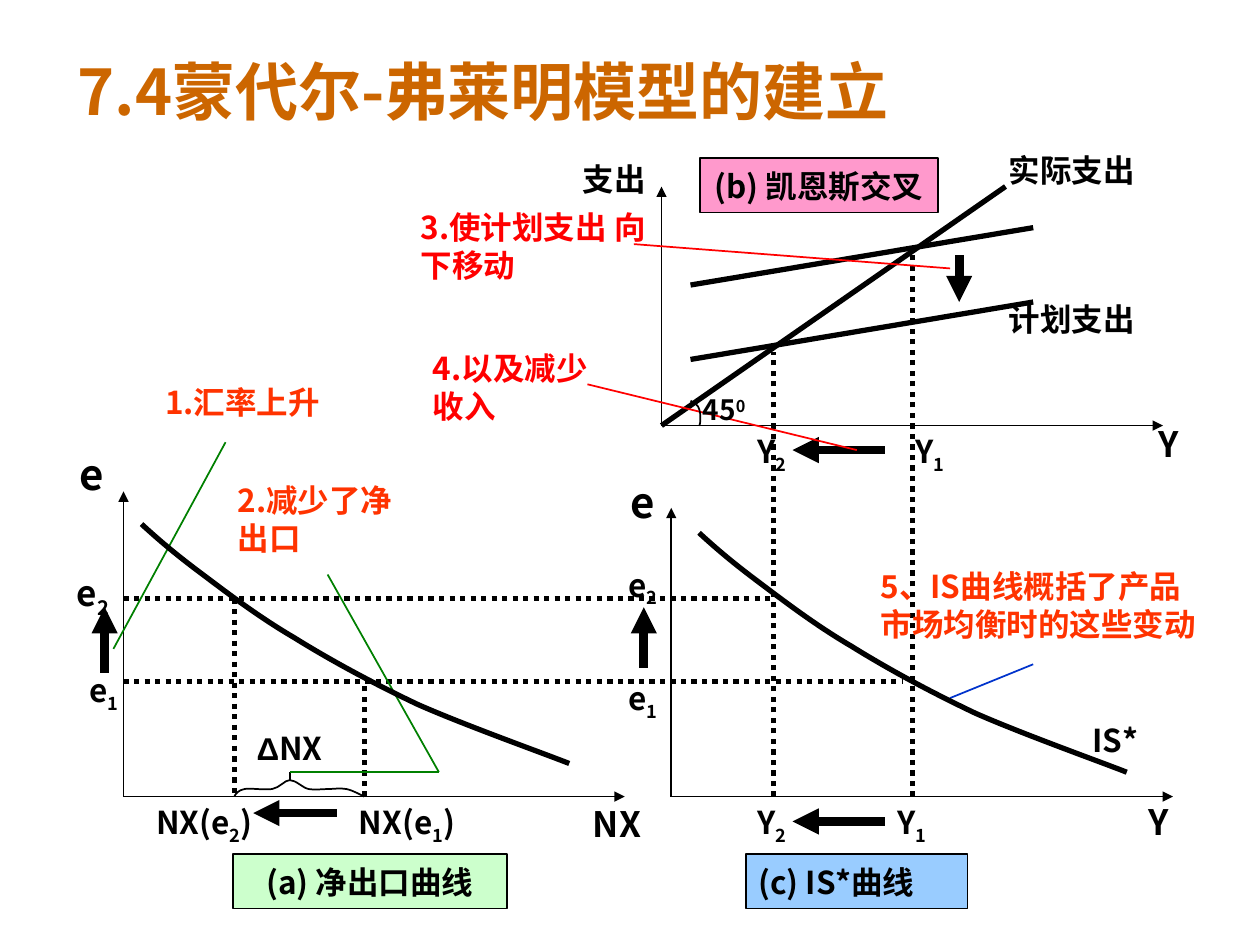
from dataclasses import dataclass
from typing import NamedTuple

from lxml.etree import SubElement
from pptx import Presentation
from pptx.dml.color import RGBColor as RGB
from pptx.enum.dml import MSO_LINE as Dash
from pptx.enum.shapes import MSO_CONNECTOR as Link, MSO_SHAPE as Preset
from pptx.enum.text import MSO_ANCHOR as Anchor, MSO_AUTO_SIZE as AutoSize, PP_ALIGN as Align
from pptx.oxml.ns import qn
from pptx.util import Pt


@dataclass(frozen=True)
class Theme:
    font: str = "Noto Sans CJK SC"
    greek: str = "Arial"
    ink: str = "000000"
    title: str = "CC6600"
    note: str = "FF3300"
    red: str = "FF0000"
    green: str = "008000"
    blue: str = "0033CC"
    net_exports: str = "CCFFCC"
    cross: str = "FF99CC"
    is_curve: str = "99CCFF"
    title_size: int = 36
    axis_size: int = 24
    large: int = 20
    normal: int = 18
    small: int = 16
    thin: int = 1
    bold: int = 3
    block: int = 5


T = Theme()


class Piece(NamedTuple):
    text: str
    baseline: int = 0
    font: str = T.font


class Label(NamedTuple):
    left: float
    top: float
    width: float
    height: float
    pieces: tuple
    size: int = T.normal
    color: str = T.ink


class Stroke(NamedTuple):
    x1: float
    y1: float
    x2: float
    y2: float
    weight: int = T.thin
    color: str = T.ink
    arrow: bool = False
    dotted: bool = False


class Curve(NamedTuple):
    x: float
    y: float
    controls: tuple  # Bezier control points, relative to the start, three a piece
    weight: int


class Caption(NamedTuple):
    left: float
    top: float
    width: float
    text: str
    fill: str
    align: Align


def sub(base: str, index: str, close: str = "") -> tuple:
    pieces = (Piece(base), Piece(index, -25000))
    return pieces + (Piece(close),) if close else pieces


def plain(text: str) -> tuple:
    return (Piece(text),)


def write(frame, pieces: tuple, size: int, color: str, align=Align.LEFT, **frame_format) -> None:
    for name, value in frame_format.items():
        setattr(frame, name, value)
    paragraph = frame.paragraphs[0]
    paragraph.alignment = align
    for piece in pieces:
        run = paragraph.add_run()
        run.text = piece.text
        for name, value in dict(size=Pt(size), bold=True, name=piece.font).items():
            setattr(run.font, name, value)
        run.font.color.rgb = RGB.from_string(color)
        properties = run._r.get_or_add_rPr()
        SubElement(properties, qn("a:ea")).set("typeface", T.font)
        if piece.baseline:
            properties.set("baseline", str(piece.baseline))


def ink_line(line, color: str, weight: int) -> None:
    line.color.rgb = RGB.from_string(color)
    line.width = Pt(weight)


def draw_stroke(shapes, s: Stroke) -> None:
    connector = shapes.add_connector(Link.STRAIGHT, *map(Pt, s[:4]))
    ink_line(connector.line, s.color, s.weight)
    if s.dotted:
        connector.line.dash_style = Dash.ROUND_DOT
    if s.arrow:
        SubElement(connector.line._get_or_add_ln(), qn("a:tailEnd")).set("type", "triangle")
    SubElement(connector._element.spPr, qn("a:effectLst"))


def draw_curve(shapes, c: Curve) -> None:
    builder = shapes.build_freeform(Pt(c.x), Pt(c.y))
    builder.add_line_segments([(Pt(c.x + dx), Pt(c.y + dy)) for dx, dy in c.controls], close=False)
    outline = builder.convert_to_shape()
    outline.shadow.inherit = False
    outline.fill.background()
    ink_line(outline.line, T.ink, c.weight)
    # Turn every three straight segments into one Bezier segment
    segments = list(outline._element.iter(qn("a:lnTo")))
    for i in range(0, len(segments), 3):
        bezier = SubElement(segments[i].getparent(), qn("a:cubicBezTo"))
        for segment in segments[i:i + 3]:
            bezier.append(segment[0])
            segment.getparent().remove(segment)


def draw_label(shapes, label: Label) -> None:
    box = shapes.add_textbox(*map(Pt, label[:4]))
    write(box.text_frame, label.pieces, label.size, label.color,
          word_wrap=True, auto_size=AutoSize.SHAPE_TO_FIT_TEXT)


def draw_caption(shapes, c: Caption) -> None:
    box = shapes.add_shape(Preset.RECTANGLE, *map(Pt, (c.left, c.top, c.width, 31)))
    box.shadow.inherit = False
    box.fill.solid()
    box.fill.fore_color.rgb = RGB.from_string(c.fill)
    ink_line(box.line, T.ink, T.thin)
    write(box.text_frame, plain(c.text), T.normal, T.ink, c.align,
          word_wrap=False, vertical_anchor=Anchor.MIDDLE)


# Shared levels of the three diagrams
BASE, A_X, C_X = 455.2, 70.6, 383.6
B_X, B_Y = 378, 243.2
E1, E2 = 389.5, 342
Y1, Y2, NX1, NX2 = 521.3, 442.1, 208.1, 133.9
BRACE_X, BRACE_Y, BEND_X = 165.8, 441.2, 250.8

AXES = [Stroke(*ends, arrow=True) for ends in (
    (A_X, BASE, A_X, 280.8), (A_X, BASE, 357, BASE),
    (C_X, BASE, C_X, 290.2), (C_X, BASE, 670.3, BASE),
    (B_X, B_Y, 664.6, B_Y), (B_X, B_Y, B_X, 106.6))]
GUIDES = [Stroke(*ends, T.bold, dotted=True) for ends in (
    (NX2, E2, NX2, BASE), (NX1, BASE, NX1, E1), (Y1, BASE, Y1, 144),
    (Y2, BASE, Y2, 200.9), (A_X, E2, Y2, E2), (A_X, E1, 516.2, E1))]
SPENDING = [Stroke(*ends, T.bold) for ends in (
    (B_X, B_Y, 574.6, 106.6), (394.6, 162.9, 590.4, 130.1), (394.6, 205.4, 590.4, 172.6))]
SHIFTS = [Stroke(*ends, T.block, arrow=True) for ends in (
    (367.9, 381.6, 367.9, 347), (59.8, 384.5, 59.8, 347), (192.4, 464.6, 144.7, 464.6),
    (505.6, 469.4, 452.9, 469.4), (505.6, 257.2, 452.9, 257.2), (548.1, 145.9, 548.1, 172.6))]
LEADERS = [
    Stroke(64.8, 370.8, 128.9, 252.7, color=T.green),
    Stroke(BEND_X, BRACE_Y, 187.2, 328.3, color=T.green),
    Stroke(BRACE_X, 445.7, BRACE_X, BRACE_Y),
    Stroke(BRACE_X, BRACE_Y, BEND_X, BRACE_Y, color=T.green),
    Stroke(362.2, 139.5, 542.9, 153.4, color=T.red),
    Stroke(335.7, 219.6, 489.6, 257.2, color=T.red),
    Stroke(542.9, 398.9, 590.4, 379.6, color=T.blue)]

FALLING = ((9.4, 8.6), (18.7, 16.6), (33.1, 27.4), (47.5, 38.2), (66.2, 52.6), (87.1, 64.8),
           (108, 77.8), (131.8, 90.7), (157.7, 103), (183.6, 114.5), (229.7, 131), (244.4, 136.8))
BRACE = ((0.7, -1.4), (2.2, -3.6), (5.8, -4.3), (8.6, -5), (16.6, -3.6), (21.6, -4.3),
         (25.9, -5), (28.8, -9.4), (31.7, -9.4), (35.3, -9.4), (38.9, -5), (42.5, -4.3),
         (46.1, -3.6), (49.7, -4.3), (53.3, -4.3), (56.9, -4.3), (60.5, -5), (64.1, -4.3),
         (67.7, -3.6), (72.7, -0.7), (74.2, 0))
ANGLE = ((2.2, 1.4), (4.3, 2.2), (5, 5), (5.8, 7.2), (5.8, 13), (5, 14.4))
CURVES = [Curve(80.9, 299.5, FALLING, T.bold), Curve(399.5, 304.5, FALLING, T.bold),
          Curve(NX2, BASE, BRACE, T.thin), Curve(394.6, 229, ANGLE, T.thin)]

LABELS = [
    # Axis names
    Label(331.7, BASE, 45.4, 31.7, plain("NX"), T.large),
    Label(649.4, 453.8, 28.8, 31.7, plain("Y"), T.large),
    Label(654.7, 237.8, 33.8, 31.7, plain("Y"), T.large),
    Label(38.2, 252.7, 32.4, 36, plain("e"), T.axis_size),
    Label(353.2, 268.6, 35.3, 36, plain("e"), T.axis_size),
    Label(326, 87.8, 89.3, 28.8, plain("支出")),
    # Values on the axes
    Label(516.2, B_Y, 47.5, 31.7, sub("Y", "1")),
    Label(425.7, B_Y, 47.5, 31.7, sub("Y", "2")),
    Label(505.6, BASE, 47.5, 31.7, sub("Y", "1")),
    Label(425.7, BASE, 47.5, 31.7, sub("Y", "2")),
    Label(198, BASE, 95.8, 31.7, sub("NX(e", "1", ")")),
    Label(82.1, BASE, 102.2, 31.7, sub("NX(e", "2", ")")),
    Label(351.9, 384.5, 42.5, 31.7, sub("e", "1")),
    Label(351.9, 319.7, 42.5, 31.7, sub("e", "2")),
    Label(43.9, 380, 42.5, 31.7, sub("e", "1")),
    Label(36.7, 323.3, 42.5, 34.6, sub("e", "2"), T.large),
    # Curve names
    Label(139.5, 412.8, 90, 28.8, (Piece("Δ", font=T.greek), Piece("NX"))),
    Label(617.2, 408.4, 58.3, 28.8, plain("IS*")),
    Label(569.3, 82.8, 111.6, 28.8, plain("实际支出")),
    Label(569.3, 167.8, 111.6, 28.8, plain("计划支出")),
    Label(394.6, 221, 47.5, 26.6, (Piece("45"), Piece("0", 30000)), T.small),
    # Numbered steps
    Label(87.3, 215.3, 124.6, 28.8, plain("1.汇率上升"), color=T.note),
    Label(128.7, 271.4, 111.6, 50.4, plain("2.减少了净出口"), color=T.note),
    Label(233.3, 115.2, 154.1, 50.4, plain("3.使计划支出 向下移动"), color=T.red),
    Label(240.3, 195.8, 111.6, 50.4, plain("4.以及减少收入"), color=T.red),
    Label(496.1, 320.6, 198.7, 50.4, plain("5、IS曲线概括了产品市场均衡时的这些变动"), color=T.note)]

CAPTIONS = [
    Caption(133.2, 488.2, 156.4, "(a) 净出口曲线", T.net_exports, Align.CENTER),
    Caption(426.2, 488.2, 126.7, "(c) IS*曲线", T.is_curve, Align.LEFT),
    Caption(399.8, 90.5, 136.1, "(b) 凯恩斯交叉", T.cross, Align.CENTER)]


def main() -> None:
    deck = Presentation()
    deck.slide_width, deck.slide_height = Pt(720), Pt(540)
    slide = deck.slides.add_slide(deck.slide_layouts[5])

    # Title
    heading = slide.shapes.title
    for name, value in dict(left=37.2, top=26.6, width=499, height=50.4).items():
        setattr(heading, name, Pt(value))
    write(heading.text_frame, plain("7.4蒙代尔-弗莱明模型的建立"), T.title_size, T.title,
          word_wrap=True, auto_size=AutoSize.NONE, vertical_anchor=Anchor.TOP)

    # Diagrams and their wording, in one group
    diagram = slide.shapes.add_group_shape().shapes
    for stroke in AXES + GUIDES + SPENDING + SHIFTS + LEADERS:
        draw_stroke(diagram, stroke)
    for curve in CURVES:
        draw_curve(diagram, curve)
    for label in LABELS:
        draw_label(diagram, label)
    for caption in CAPTIONS:
        draw_caption(diagram, caption)
    deck.save("out.pptx")


if __name__ == "__main__":
    main()
